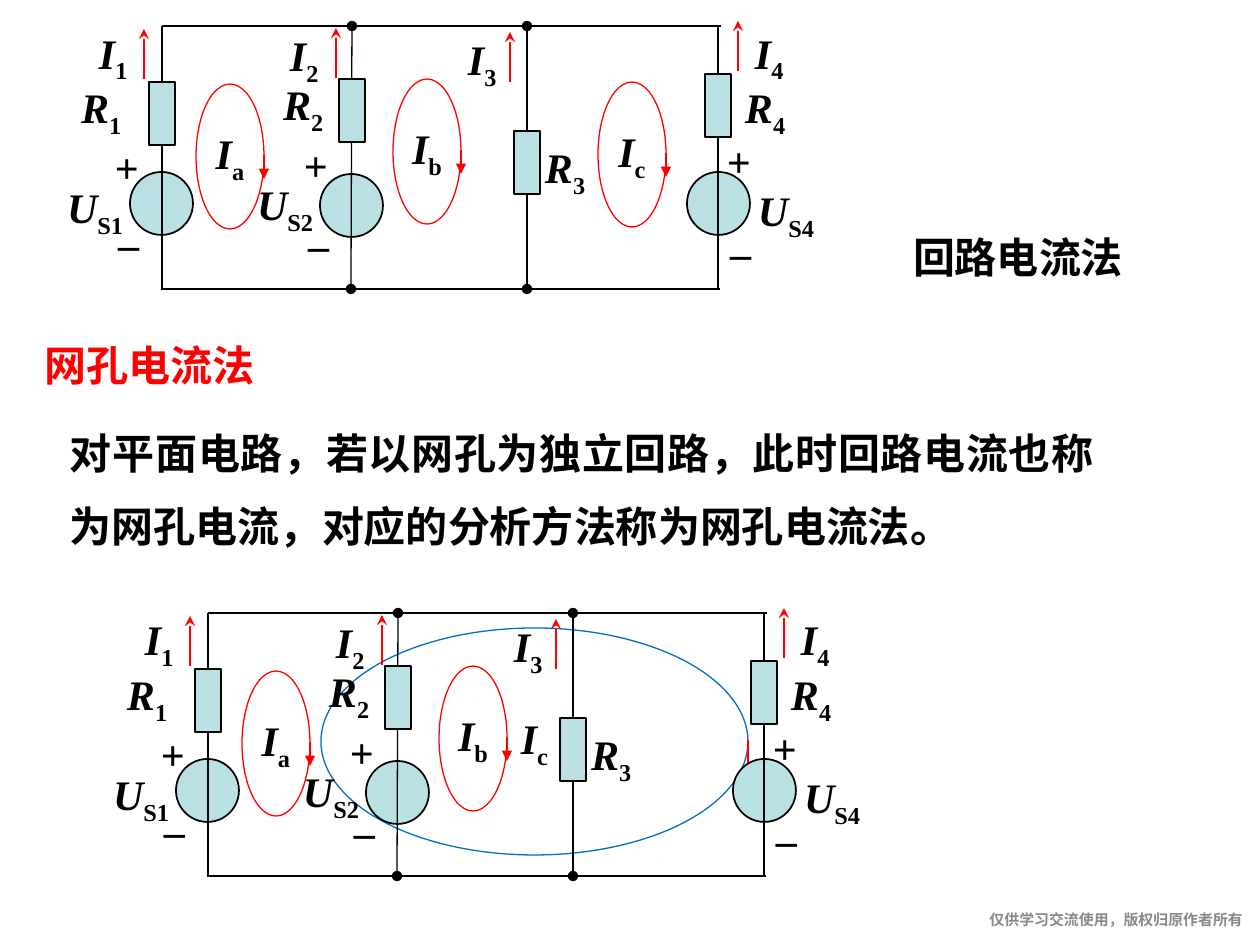
from lxml import etree
from pptx import Presentation
from pptx import util as u
from pptx.dml.color import RGBColor
from pptx.enum import shapes, text
from pptx.oxml.ns import qn

PX = u.Inches(1) / 126
THEME = {
    "font": "Times New Roman", "body": 24, "footer": 8.5, "thin": 0.75, "outline": 1,
    "black": RGBColor(0, 0, 0), "white": RGBColor(255, 255, 255),
    "red": RGBColor(255, 0, 0), "blue": RGBColor(0, 112, 192),
    "part": RGBColor(187, 224, 227), "gray": RGBColor(136, 136, 136),
}
OVAL, RECT = shapes.MSO_SHAPE.OVAL, shapes.MSO_SHAPE.RECTANGLE
LEFT, CENTER = text.PP_ALIGN.LEFT, text.PP_ALIGN.CENTER

presentation = Presentation()
presentation.slide_width, presentation.slide_height = u.Inches(10), u.Inches(7.5)
slide = presentation.slides.add_slide(presentation.slide_layouts[6])


def add_box(kind, box, words="", subscript="", color="black", size="body", fill="part",
            line="black", weight="outline", align=LEFT, wrap=True, margins=(13, 6, 13, 6)):
    """Add a preset shape, or a text box when kind is None; a subscript makes words italic."""
    place = [round(length * PX) for length in box]
    if kind is None:
        shape = slide.shapes.add_textbox(*place)
    else:
        shape = slide.shapes.add_shape(kind, *place)
        shape.shadow.inherit = False
        shape.fill.solid()
        shape.fill.fore_color.rgb = THEME[fill]
        shape.line.color.rgb = THEME[line]
        shape.line.width = u.Pt(THEME[weight])
    if not words:
        return shape
    frame = shape.text_frame
    frame.word_wrap = wrap
    frame.vertical_anchor = text.MSO_ANCHOR.TOP if kind is None else text.MSO_ANCHOR.MIDDLE
    (frame.margin_left, frame.margin_top, frame.margin_right,
     frame.margin_bottom) = [round(margin * PX) for margin in margins]
    paragraph = frame.paragraphs[0]
    paragraph.alignment = align
    run = paragraph.add_run()
    run.text = words
    if subscript:
        run.font.italic = True
        run = paragraph.add_run()
        run.text = subscript
        run.font._element.set("baseline", "-25000")
    font = paragraph.font
    font.name, font.size, font.bold = THEME["font"], u.Pt(THEME[size]), True
    font.color.rgb = THEME[color]
    return shape


def add_line(start_x, start_y, end_x, end_y, color="black", head=None, tail=None):
    """Add a thin straight line with optional end marks."""
    ends = [round(length * PX) for length in (start_x, start_y, end_x, end_y)]
    connector = slide.shapes.add_connector(shapes.MSO_CONNECTOR.STRAIGHT, *ends)
    connector.line.color.rgb = THEME[color]
    connector.line.width = u.Pt(THEME["thin"])
    outline = connector.line._get_or_add_ln()
    for tag, mark in (("a:headEnd", head), ("a:tailEnd", tail)):
        if mark:
            etree.SubElement(outline, qn(tag)).set("type", mark)
    etree.SubElement(connector._element.spPr, qn("a:effectLst"))


# Circuit data, relative to the upper circuit
LABEL_MARGINS = (13, 11, 13, 6)
TOP_RAIL, BOTTOM_RAIL = 26, 289
LOOP_SIZE = (68, 145)
SMALL_LOOPS = {"a": (196, 84), "b": (393, 79), "c": (598, 82)}
# name: source, plus, minus and label corners, label width
SOURCES = {
    "S2": ((320, 174), (291, 129), (295, 194), (244, 168), 96),
    "S1": ((130, 172), (102, 131), (105, 193), (54, 171), 92),
    "S4": ((687, 172), (714, 125), (717, 202), (745, 174), 94),
}
# number: wire top x, wire bottom x, wire end mark, resistor, its label,
# current label, current arrow start
BRANCHES = {
    "1": (162, 162, None, (149, 82), (68, 71), (86, 16), (144, 79)),
    "2": (352, 351, "oval", (339, 79), (270, 68), (277, 19), (336, 78)),
    "3": (527, 527, "oval", (514, 131), (532, 131), (455, 23), (510, 82)),
    "4": (718, 718, None, (705, 74), (732, 71), (742, 16), (738, 71)),
}

# Large loop behind the lower circuit
add_box(OVAL, (321, 628, 427, 227), "I", "c", fill="white", line="blue",
        weight="thin", align=CENTER, wrap=False)
add_line(748, 740, 748, 776, "red", tail="triangle")

for dx, dy, loop_names in ((0, 0, "acb"), (46, 587, "ab")):
    # Mesh loops
    for name in loop_names:
        x, y = SMALL_LOOPS[name]
        x, y = x + dx, y + dy
        add_box(OVAL, (x, y, *LOOP_SIZE), "I", name, fill="white", line="red",
                weight="thin", align=CENTER, wrap=False)
        add_line(x + 68, y + 71, x + 68, y + 95, "red", tail="triangle")

    # Voltage sources
    for name, (source, plus, minus, label, width) in SOURCES.items():
        add_box(OVAL, (source[0] + dx, source[1] + dy, 63, 63))
        for sign, (x, y), sign_width in (("+", plus, 49), ("_", minus, 47)):
            add_box(None, (x + dx, y + dy, sign_width, 63), sign, align=CENTER,
                    wrap=sign == "_", margins=LABEL_MARGINS)
        add_box(None, (label[0] + dx, label[1] + dy, width, 63), "U", name,
                margins=LABEL_MARGINS)

    # Rails
    add_line(161 + dx, BOTTOM_RAIL + dy, 720 + dx, BOTTOM_RAIL + dy)
    add_line(162 + dx, TOP_RAIL + dy, 721 + dx, TOP_RAIL + dy)

    # Branch wires, resistors and currents
    for number, (top_x, bottom_x, mark, resistor, label, current, arrow) in BRANCHES.items():
        add_line(top_x + dx, TOP_RAIL + dy, bottom_x + dx, BOTTOM_RAIL + dy,
                 head=mark, tail=mark)
        add_box(RECT, (resistor[0] + dx, resistor[1] + dy, 26, 63))
        for letter, (x, y), width in (("R", label, 84), ("I", current, 73)):
            add_box(None, (x + dx, y + dy, width, 63), letter, number,
                    margins=LABEL_MARGINS)
        x, y = arrow[0] + dx, arrow[1] + dy
        add_line(x, y, x, y - 50, "red", tail="stealth")

# Headings
add_box(None, (32, 334, 237, 63), "网孔电流法", color="red", wrap=False)
add_box(None, (900, 226, 236, 63), "回路电流法", wrap=False)

# Definition
definition = add_box(
    None, (57, 394, 1050, 159),
    "对平面电路，若以网孔为独立回路，此时回路电流也称为网孔电流，对应的分析方法称为网孔电流法。",
    align=text.PP_ALIGN.JUSTIFY, margins=LABEL_MARGINS)
definition.text_frame.paragraphs[0].line_spacing = 1.45

# Footer
add_box(None, (764, 911, 479, 28), "仅供学习交流使用，版权归原作者所有", color="gray",
        size="footer", align=text.PP_ALIGN.RIGHT, wrap=False, margins=(0, 0, 0, 0))

presentation.save("out.pptx")
